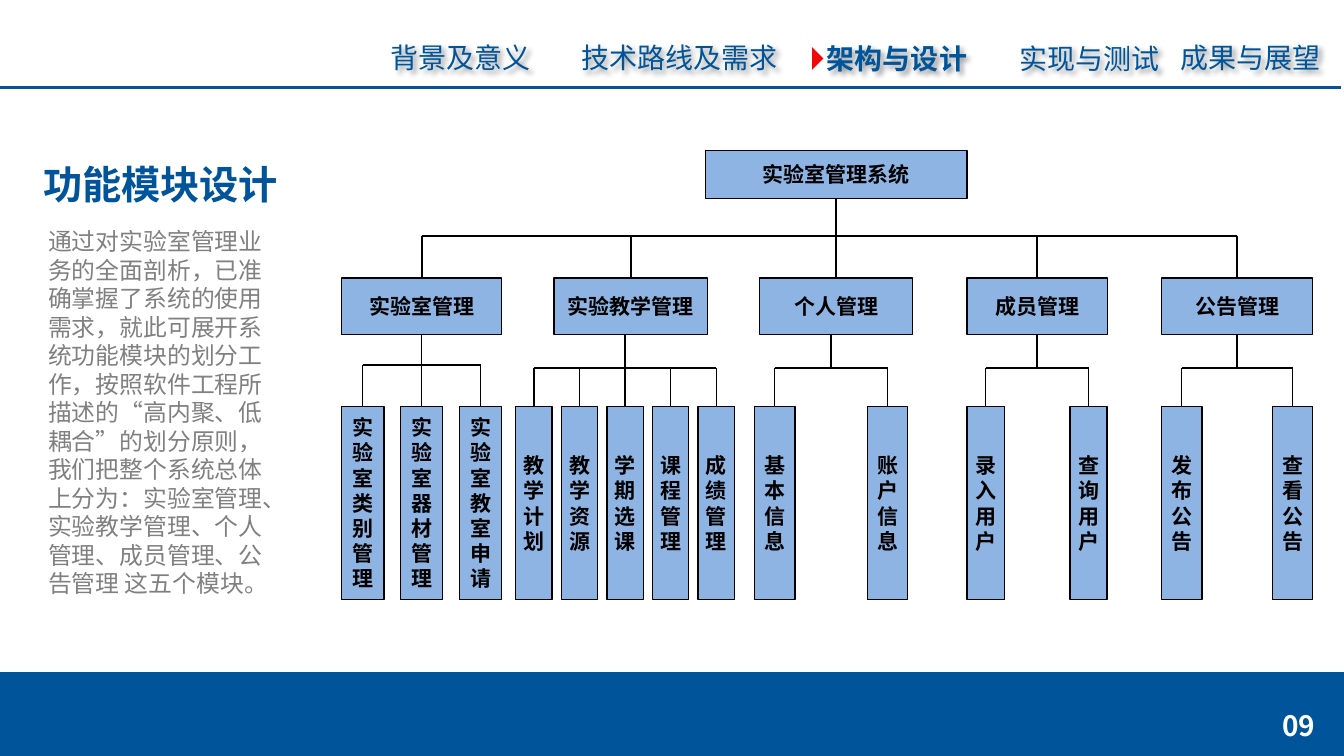
from dataclasses import dataclass

from lxml import etree
from pptx import Presentation
from pptx import util as u
from pptx.dml.color import RGBColor
from pptx.enum import shapes, text
from pptx.oxml import ns

# Grid: ten columns and ten rows to the inch
COLUMNS, ROWS = 133.4, 75
UNIT = u.Inches(0.1)

BLUE, SKY, BLACK, WHITE, GREY, RED = "005499", "8EB4E3", "000000", "FFFFFF", "808080", "EF0808"
SANS = "Noto Sans CJK SC"
LEFT, CENTER = text.PP_ALIGN.LEFT, text.PP_ALIGN.CENTER
TRUNK_ROW, LEAF_TOP, LEAF_HEIGHT = 23.4, 40.3, 19.2
MODULE_TOP, MODULE_HEIGHT = 27.6, 5.6


@dataclass(frozen=True)
class Area:
    left: float
    top: float
    width: float
    height: float

    @property
    def center(self) -> float:
        return self.left + self.width / 2

    @property
    def bottom(self) -> float:
        return self.top + self.height


@dataclass(frozen=True)
class Style:
    size: float
    color: str
    bold: bool = False
    align: text.PP_ALIGN = LEFT
    font: str = SANS
    leading: float = 1.2


@dataclass(frozen=True)
class Module:
    name: str
    left: float
    width: float
    bus_row: float
    first_leaf: float
    last_leaf: float
    leaf_width: float
    leaves: tuple[str, ...]


NODE = Style(15, BLACK, bold=True, align=CENTER)

NAVIGATION = [
    ("背景及意义", Area(37.8, 3.5, 17.2, 4.4)),
    ("技术路线及需求", Area(56.7, 3.5, 22.6, 4.4)),
    ("架构与设计", Area(81.1, 3.6, 18.3, 4.4)),
    ("实现与测试", Area(100.2, 3.6, 16.9, 4.4)),
    ("成果与展望", Area(116.2, 3.5, 17.2, 4.4)),
]
CURRENT = "架构与设计"

MODULES = [
    Module("实验室管理", 33.9, 15.9, 36.2, 33.9, 45.6, 4.2,
           ("实验室\n类别管理", "实验室\n器材管理", "实验室教室申请")),
    Module("实验教学管理", 55, 15.2, 36.5, 51.2, 69.3, 3.6,
           ("教学计划", "教学资源", "学期选课", "课程管理", "成绩管理")),
    Module("个人管理", 75.4, 15.2, 36.5, 74.9, 86.1, 4, ("基本信息", "账户信息")),
    Module("成员管理", 96, 13.9, 36.5, 96, 106.2, 3.7, ("录入用户", "查询用户")),
    Module("公告管理", 115.3, 15, 36.5, 115.3, 126.3, 4, ("发布公告", "查看公告")),
]

BODY = ("通过对实验室管理业务的全面剖析，已准确掌握了系统的使用需求，就此可展开系统功能模块的划分工作，"
        "按照软件工程所描述的“高内聚、低耦合”的划分原则，我们把整个系统总体上分为：实验室管理、"
        "实验教学管理、个人管理、成员管理、公告管理 这五个模块。")


def grid(value: float) -> int:
    return round(value * UNIT)


def rgb(color: str) -> RGBColor:
    return RGBColor.from_string(color)


def place(area: Area) -> tuple[int, ...]:
    return tuple(grid(value) for value in (area.left, area.top, area.width, area.height))


def write(box, words: str, style: Style) -> None:
    frame = box.text_frame
    frame.word_wrap = True
    frame.text = words
    for para in frame.paragraphs:
        para.alignment = style.align
        para.line_spacing = u.Pt(style.size * style.leading)
        for span in para.runs:
            span.font.size, span.font.bold = u.Pt(style.size), style.bold
            span.font.name = style.font
            span.font.color.rgb = rgb(style.color)
            # Chinese glyphs take the East Asian typeface
            latin = span.font._element.find(ns.qn("a:latin"))
            east_asian = etree.Element(ns.qn("a:ea"), typeface=SANS)
            latin.addnext(east_asian)


def add_text(page, area: Area, words: str, style: Style):
    box = page.shapes.add_textbox(*place(area))
    write(box, words, style)
    return box


def add_block(page, kind, area: Area, fill: str, line: str = "", weight: float = 1):
    box = page.shapes.add_shape(kind, *place(area))
    box.shadow.inherit = False
    box.fill.solid()
    box.fill.fore_color.rgb = rgb(fill)
    if line:
        box.line.color.rgb = rgb(line)
        box.line.width = u.Pt(weight)
    else:
        box.line.fill.background()
    return box


def add_node(page, area: Area, words: str):
    box = add_block(page, shapes.MSO_SHAPE.RECTANGLE, area, SKY, BLACK)
    write(box, words, NODE)
    frame = box.text_frame
    frame.vertical_anchor = text.MSO_ANCHOR.MIDDLE
    frame.margin_left = frame.margin_right = grid(0.5)
    return box


def add_line(page, start: tuple[float, float], end: tuple[float, float],
             weight: float = 1, color: str = BLACK, above=None, below=None) -> None:
    line = page.shapes.add_connector(
        shapes.MSO_CONNECTOR.STRAIGHT, *(grid(value) for value in start + end))
    line.line.color.rgb = rgb(color)
    line.line.width = u.Pt(weight)
    etree.SubElement(line._element.spPr, ns.qn("a:effectLst"))
    if above is not None:
        line.begin_connect(above, 2)
    if below is not None:
        line.end_connect(below, 0)


def add_soft_shadow(box) -> None:
    effects = etree.SubElement(box._element.spPr, ns.qn("a:effectLst"))
    shadow = etree.SubElement(effects, ns.qn("a:outerShdw"),
                              blurRad="50800", dist="38100", dir="2700000")
    tint = etree.SubElement(shadow, ns.qn("a:srgbClr"), val=BLACK)
    etree.SubElement(tint, ns.qn("a:alpha"), val="40000")


def add_module(page, module: Module):
    area = Area(module.left, MODULE_TOP, module.width, MODULE_HEIGHT)
    head = add_node(page, area, module.name)
    step = (module.last_leaf - module.first_leaf) / (len(module.leaves) - 1)
    centers = []
    for index, words in enumerate(module.leaves):
        leaf_area = Area(module.first_leaf + index * step, LEAF_TOP, module.leaf_width, LEAF_HEIGHT)
        leaf = add_node(page, leaf_area, words)
        centers.append(leaf_area.center)
        add_line(page, (leaf_area.center, module.bus_row), (leaf_area.center, LEAF_TOP), below=leaf)
    add_line(page, (centers[0], module.bus_row), (centers[-1], module.bus_row))
    stem = (centers[0] + centers[-1]) / 2
    joined = head if abs(stem - area.center) < 0.01 else None
    add_line(page, (stem, area.bottom), (stem, module.bus_row), above=joined)
    return head, area.center


def add_tree(page) -> None:
    root_area = Area(70, 14.9, 26, 4.8)
    root = add_node(page, root_area, "实验室管理系统")
    heads = [add_module(page, module) for module in MODULES]
    add_line(page, (heads[0][1], TRUNK_ROW), (heads[-1][1], TRUNK_ROW), 1.5)
    for head, center in heads:
        under_root = abs(center - root_area.center) < 0.01
        top = root_area.bottom if under_root else TRUNK_ROW
        add_line(page, (center, top), (center, MODULE_TOP), 1.5,
                 above=root if under_root else None, below=head)


def main() -> None:
    deck = Presentation()
    deck.slide_width, deck.slide_height = grid(COLUMNS), grid(ROWS)
    page = deck.slides.add_slide(deck.slide_layouts[6])

    # Header rule and footer band
    add_line(page, (0, 8.7), (133.1, 8.7), 2.5, BLUE)
    band = add_block(page, shapes.MSO_SHAPE.ROUND_2_SAME_RECTANGLE,
                     Area(0, 66.8, COLUMNS, 8.2), BLUE, BLUE, 2)
    band.adjustments[0] = band.adjustments[1] = 0

    # Navigation with its marker
    for words, area in NAVIGATION:
        add_soft_shadow(add_text(page, area, words, Style(20, BLUE, bold=words == CURRENT)))
    marker = add_block(page, shapes.MSO_SHAPE.RIGHT_TRIANGLE, Area(79.8, 5, 1.6, 1.6), RED)
    marker.rotation = 225

    # Title and description
    add_text(page, Area(3.3, 14.8, 25.6, 6.3), "功能模块设计",
             Style(28, BLUE, bold=True, leading=38 / 28))
    add_text(page, Area(3.8, 22, 24.7, 38.2), BODY, Style(17, GREY, font="Arial"))

    # Module tree
    add_tree(page)

    # Page number
    add_block(page, shapes.MSO_SHAPE.RECTANGLE, Area(124.4, 69, 9, 6), BLUE)
    add_text(page, Area(125.7, 69.8, 6.4, 4.4), "09", Style(20, WHITE, bold=True, align=CENTER))

    deck.save("out.pptx")


if __name__ == "__main__":
    main()
